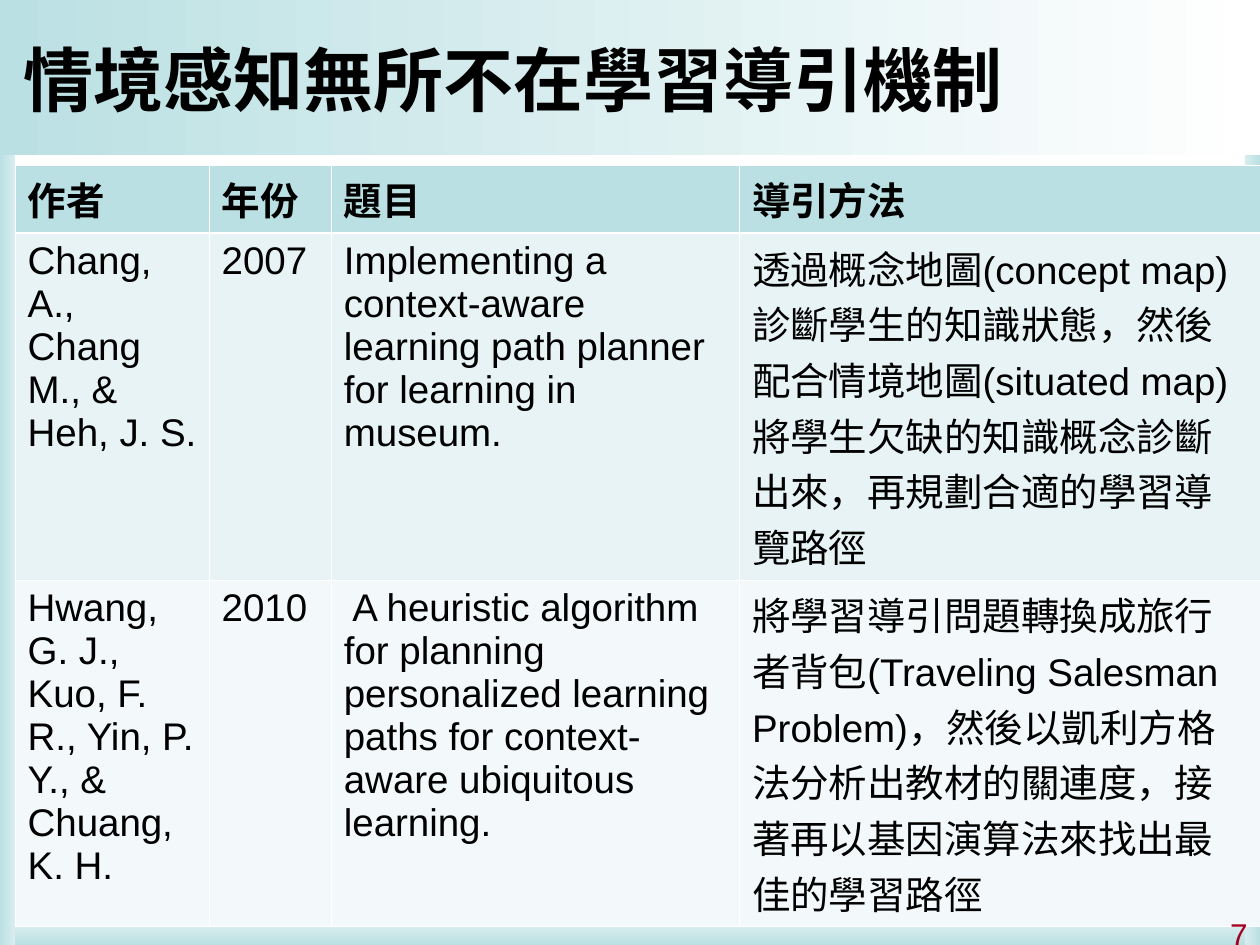
from lxml import etree
from pptx import Presentation
from pptx.dml.color import RGBColor
from pptx.enum.shapes import MSO_SHAPE
from pptx.enum.text import MSO_ANCHOR, MSO_AUTO_SIZE, PP_ALIGN
from pptx.oxml.ns import qn
from pptx.util import Inches, Pt

RECTANGLE = MSO_SHAPE.RECTANGLE
MIDDLE, TOP = MSO_ANCHOR.MIDDLE, MSO_ANCHOR.TOP
LEFT, RIGHT = PP_ALIGN.LEFT, PP_ALIGN.RIGHT

FONT = "Arial"
COLORS = {
    "white": "FFFFFF", "teal": "BBE0E3", "pale": "D9EDEF", "black": "000000",
    "odd_row": "E7F3F4", "even_row": "F3F9FA", "number": "A50021",
}

TITLE = "情境感知無所不在學習導引機制"
PAGE_NUMBER = "7"
STUDIES = [
    ("作者", "年份", "題目", "導引方法"),
    ("Chang, A., Chang M., & Heh, J. S.", "2007",
     "Implementing a context-aware learning path planner for learning in museum.",
     "透過概念地圖(concept map)診斷學生的知識狀態，然後配合情境地圖(situated map)"
     "將學生欠缺的知識概念診斷出來，再規劃合適的學習導覽路徑"),
    ("Hwang, G. J., Kuo, F. R., Yin, P. Y., & Chuang, K. H.", "2010",
     " A heuristic algorithm for planning personalized learning paths for "
     "context-aware ubiquitous learning.",
     "將學習導引問題轉換成旅行者背包(Traveling Salesman Problem)，"
     "然後以凱利方格法分析出教材的關連度，接著再以基因演算法來找出最佳的學習路徑"),
]
COLUMN_WIDTHS = (1.54, 0.97, 3.24, 4.13)
ROW_HEIGHTS = (0.47, 2.3, 2.67)
ROW_FILLS = ("teal", "odd_row", "even_row")
THIN, THICK = 0.45, 1.47

# left, top, width, height, start colour, end colour, counter-clockwise angle
BANDS = [
    (0, 7.14, 10, 0.36, "white", "teal", 270),
    (0, 1.23, 0.12, 6.27, "teal", "pale", 0),
    (0, 0, 10, 1.23, "teal", "white", 0),
    (9.88, 1.23, 0.12, 6.27, "pale", "teal", 0),
]


def rgb(name):
    return RGBColor.from_string(COLORS[name])


def write(frame, text, size, color="black", bold=False, align=LEFT):
    frame.text = text
    frame.word_wrap = True
    para = frame.paragraphs[0]
    para.alignment = align
    for span in para.runs:
        span.font.name = FONT
        span.font.size = Pt(size)
        span.font.bold = bold
        span.font.color.rgb = rgb(color)


def add_band(page, left, top, width, height, start, end, angle):
    band = page.shapes.add_shape(RECTANGLE, Inches(left), Inches(top),
                                 Inches(width), Inches(height))
    band.shadow.inherit = False
    band.line.fill.background()
    band.fill.gradient()
    band.fill.gradient_angle = angle
    for stop, color in zip(band.fill.gradient_stops, (start, end)):
        stop.color.rgb = rgb(color)


def set_borders(cell, top, bottom):
    """Draw white cell borders; the side borders are always thin."""
    properties = cell._tc.get_or_add_tcPr()
    widths = {"a:lnL": THIN, "a:lnR": THIN, "a:lnT": top, "a:lnB": bottom}
    for index, (tag, width) in enumerate(widths.items()):
        line = etree.Element(qn(tag), w=str(Pt(width)))
        fill = etree.SubElement(line, qn("a:solidFill"))
        etree.SubElement(fill, qn("a:srgbClr"), val=COLORS["white"])
        properties.insert(index, line)


def add_studies(page):
    table = page.shapes.add_table(
        len(STUDIES), len(COLUMN_WIDTHS), Inches(0.12), Inches(1.31),
        Inches(sum(COLUMN_WIDTHS)), Inches(sum(ROW_HEIGHTS))).table
    for column, width in zip(table.columns, COLUMN_WIDTHS):
        column.width = Inches(width)
    for r, (row, height) in enumerate(zip(table.rows, ROW_HEIGHTS)):
        row.height = Inches(height)
        for cell, text in zip(row.cells, STUDIES[r]):
            write(cell.text_frame, text, 22, bold=r == 0)
            cell.fill.solid()
            cell.fill.fore_color.rgb = rgb(ROW_FILLS[r])
            set_borders(cell, top=THICK if r == 1 else THIN,
                        bottom=THICK if r == 0 else THIN)


def main():
    deck = Presentation()
    deck.slide_width, deck.slide_height = Inches(10), Inches(7.5)
    page = deck.slides.add_slide(deck.slide_layouts[5])
    title = page.shapes.title

    for band in BANDS:
        add_band(page, *band)

    # Bring the title in front of the bands
    page.shapes._spTree.append(title._element)
    title.left, title.top = Inches(0.09), Inches(0.09)
    title.width, title.height = Inches(8.03), Inches(1.06)
    write(title.text_frame, TITLE, 40, bold=True)
    title.text_frame.auto_size = MSO_AUTO_SIZE.NONE
    title.text_frame.vertical_anchor = MIDDLE

    add_studies(page)

    number = page.shapes.add_textbox(Inches(7.67), Inches(7.21),
                                     Inches(2.33), Inches(0.29))
    write(number.text_frame, PAGE_NUMBER, 18, "number", align=RIGHT)
    number.text_frame.vertical_anchor = TOP

    deck.save("out.pptx")


if __name__ == "__main__":
    main()
